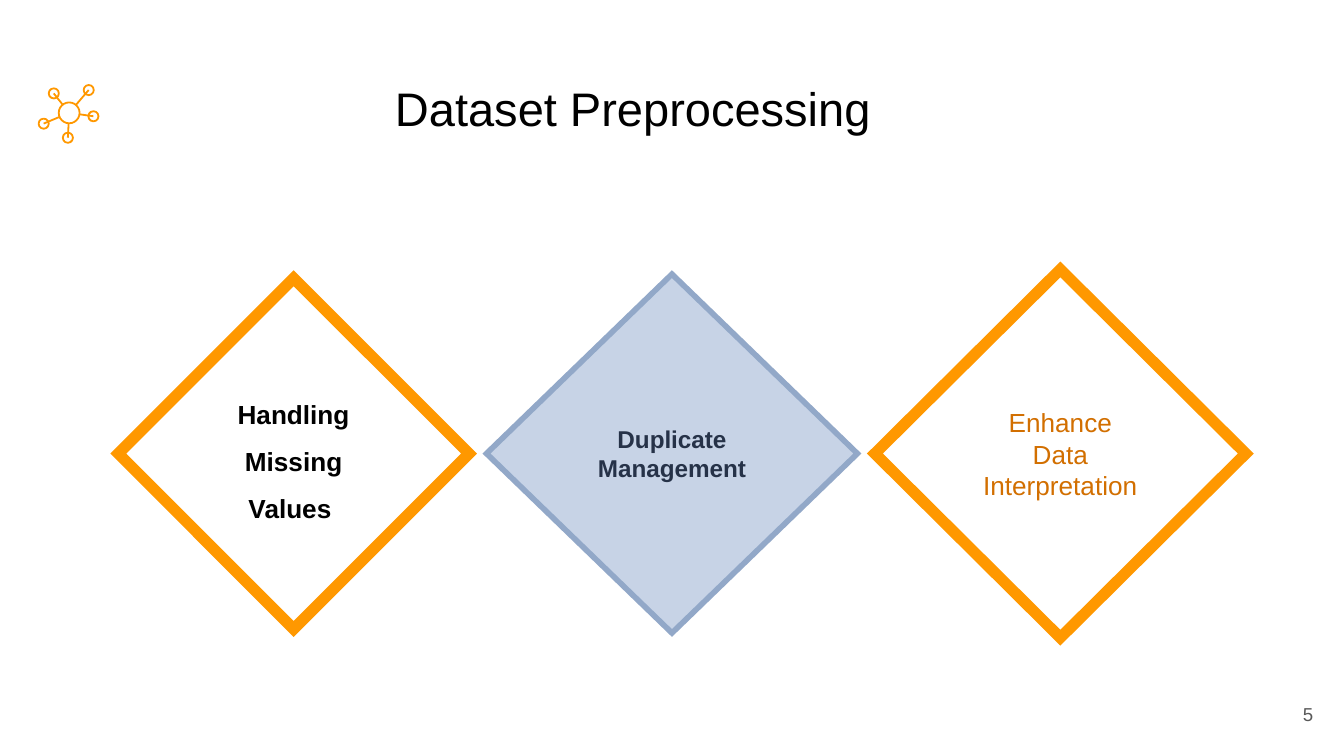
from math import hypot
from lxml.etree import SubElement
from pptx import Presentation
from pptx.dml.color import RGBColor
from pptx.enum.shapes import MSO_CONNECTOR, MSO_SHAPE
from pptx.enum.text import MSO_ANCHOR, PP_ALIGN
from pptx.oxml.ns import qn
from pptx.util import Inches, Pt

COLS = 100
ROWS = COLS * 9 / 16
ORANGE = "FF9800"


def color(code):
    return RGBColor.from_string(code)


def write(frame, text, size=14, ink="000000", bold=False,
          align=PP_ALIGN.CENTER, space=None, indent=None):
    frame.word_wrap = True
    frame.vertical_anchor = MSO_ANCHOR.MIDDLE
    frame.margin_left = frame.margin_right = Inches(0.1)
    frame.margin_top = frame.margin_bottom = Inches(0.1)
    para = frame.paragraphs[0]
    para.alignment = align
    if space:
        para.line_spacing = space
    if indent:
        left, first = indent
        props = para._p.get_or_add_pPr()
        props.set("marL", str(Inches(left)))
        props.set("indent", str(Inches(first)))
    run = para.add_run()
    run.text = text
    font = run.font
    font.name, font.size, font.bold = "Arial", Pt(size), bold
    font.color.rgb = color(ink)


class Deck:
    def __init__(self, width):
        self.show = Presentation()
        self.show.slide_width = Inches(width)
        self.show.slide_height = Inches(width * ROWS / COLS)
        self.cell = Inches(width) / COLS
        self.slide = self.show.slides.add_slide(self.show.slide_layouts[6])

    def grid(self, *cells):
        return [round(cell * self.cell) for cell in cells]

    def label(self, left, top, wide, high, text, **style):
        box = self.slide.shapes.add_textbox(*self.grid(left, top, wide, high))
        write(box.text_frame, text, **style)

    def shape(self, kind, x, y, wide, high, line, weight, fill=None):
        area = self.grid(x - wide / 2, y - high / 2, wide, high)
        item = self.slide.shapes.add_shape(kind, *area)
        item.shadow.inherit = False
        if fill:
            item.fill.solid()
            item.fill.fore_color.rgb = color(fill)
        else:
            item.fill.background()
        item.line.color.rgb = color(line)
        item.line.width = Pt(weight)
        return item

    def diamond(self, x, y, wide, high, text, line, weight, fill=None, **style):
        item = self.shape(MSO_SHAPE.DIAMOND, x, y, wide, high, line, weight, fill)
        SubElement(item.line._get_or_add_ln(), qn("a:miter"), lim="800000")
        write(item.text_frame, text, **style)

    def ring(self, x, y, size):
        self.shape(MSO_SHAPE.OVAL, x, y, size, size, ORANGE, 0.96)

    def link(self, *ends):
        item = self.slide.shapes.add_connector(
            MSO_CONNECTOR.STRAIGHT, *self.grid(*ends))
        item.line.color.rgb = color(ORANGE)
        item.line.width = Pt(0.96)
        SubElement(item._element.spPr, qn("a:effectLst"))

    def network(self, x, y, size, nodes, dot):
        for node in nodes:
            self.ring(*node, dot)
        self.ring(x, y, size)
        for across, down in nodes:
            part = size / 2 / hypot(across - x, down - y)
            self.link(across, down, x + (across - x) * part,
                      y + (down - y) * part)


def main():
    deck = Deck(10)
    deck.label(3.4, 4.9, 93.2, 6.3, "Dataset Preprocessing", size=25.2,
               align=PP_ALIGN.LEFT, indent=(2, 0.5))
    deck.label(92.7, 51, 6, 4.3, "5", size=10, ink="595959",
               align=PP_ALIGN.RIGHT)
    mid = ROWS * 0.6
    deck.diamond(50, mid, 27.6, 26.7, "Duplicate Management", "92A8C8", 3,
                 fill="C7D3E6", size=13, ink="263248", bold=True)
    deck.diamond(21.85, mid, 26.1, 26.1, "Handling Missing Values ", ORANGE, 6,
                 bold=True, space=1.5)
    deck.diamond(78.9, mid, 27.6, 27.4, "Enhance Data Interpretation", ORANGE, 6,
                 ink="D26F00")
    nodes = [(6.6, 6.7), (4, 6.95), (3.25, 9.2), (5.05, 10.25), (6.95, 8.65)]
    deck.network(5.15, 8.4, 1.55, nodes, 0.75)
    deck.show.save("out.pptx")


if __name__ == "__main__":
    main()
